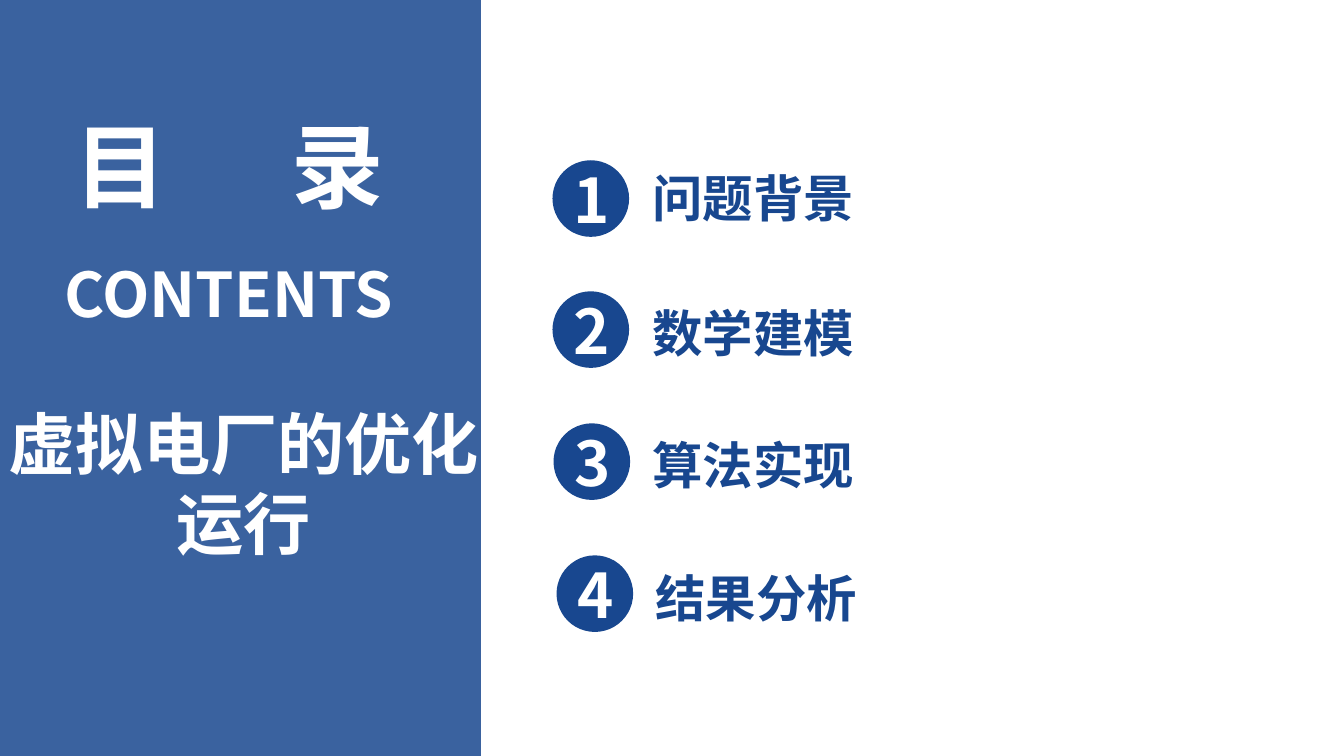
"""Build the contents slide: a blue title panel beside four numbered topics."""
from dataclasses import dataclass

from lxml import etree
from pptx import Presentation
from pptx.dml.color import RGBColor
from pptx.enum.shapes import MSO_SHAPE
from pptx.enum.text import MSO_ANCHOR, MSO_AUTO_SIZE, PP_ALIGN
from pptx.oxml.ns import qn
from pptx.util import Inches, Pt

RECT, OVAL = MSO_SHAPE.RECTANGLE, MSO_SHAPE.OVAL
LEFT, CENTER = PP_ALIGN.LEFT, PP_ALIGN.CENTER
MIDDLE, GROW = MSO_ANCHOR.MIDDLE, MSO_AUTO_SIZE.SHAPE_TO_FIT_TEXT
FONT, BLUE, WHITE = "Noto Sans CJK SC", "18478F", "FFFFFF"
DISC = 0.76


@dataclass(frozen=True)
class Topic:
    text: str
    disc_x: float
    disc_y: float
    label_x: float
    label_y: float


TOPICS = [
    Topic("问题背景", 5.48, 1.59, 6.37, 1.61),
    Topic("数学建模", 5.48, 2.89, 6.37, 2.95),
    Topic("算法实现", 5.49, 4.2, 6.37, 4.26),
    Topic("结果分析", 5.52, 5.51, 6.4, 5.58),
]


def rgb(color: str) -> RGBColor:
    return RGBColor.from_string(color)


def add_run(p, text: str, size: float, color: str = WHITE, gap: float = 0) -> None:
    r = p.add_run()
    r.text = text
    for name, value in {"size": Pt(size), "bold": True, "name": FONT}.items():
        setattr(r.font, name, value)
    r.font.color.rgb = rgb(color)
    rpr = r._r.get_or_add_rPr()
    etree.SubElement(rpr, qn("a:ea")).set("typeface", FONT)
    if gap:
        rpr.set("spc", str(round(gap * 100)))


def add_box(slide, x: float, y: float, w: float, h: float, wrap: bool, align):
    tf = slide.shapes.add_textbox(Inches(x), Inches(y), Inches(w), Inches(h)).text_frame
    for name, value in {"word_wrap": wrap, "auto_size": GROW}.items():
        setattr(tf, name, value)
    tf.paragraphs[0].alignment = align
    return tf


def add_solid(slide, kind, x: float, y: float, w: float, h: float):
    sp = slide.shapes.add_shape(kind, Inches(x), Inches(y), Inches(w), Inches(h))
    sp.shadow.inherit = False
    sp.fill.solid()
    sp.fill.fore_color.rgb = rgb(BLUE)
    sp.line.fill.background()
    return sp


def add_panel(slide) -> None:
    sp = add_solid(slide, RECT, 0, 0, 4.77, 7.5)
    fill = sp._element.spPr.find(qn("a:solidFill"))
    etree.SubElement(fill[0], qn("a:alpha")).set("val", "85000")

    subject = add_box(slide, -0.15, 3.94, 5.14, 2.52, True, CENTER)
    add_run(subject.paragraphs[0], "虚拟电厂的优化运行", 48)

    heading = add_box(slide, 0.42, 1.03, 3.7, 2.26, False, CENTER)
    add_run(heading.paragraphs[0], "目", 66, gap=89)
    add_run(heading.paragraphs[0], "录", 66)
    p = heading.add_paragraph()
    p.alignment = CENTER
    p.space_before = Pt(26)
    add_run(p, "CONTENTS", 44)


def add_topic(slide, number: int, topic: Topic) -> None:
    tf = add_solid(slide, OVAL, topic.disc_x, topic.disc_y, DISC, DISC).text_frame
    tf.vertical_anchor = MIDDLE
    tf.paragraphs[0].alignment = CENTER
    add_run(tf.paragraphs[0], str(number), 44)
    label = add_box(slide, topic.label_x, topic.label_y, 2.22, 0.71, False, LEFT)
    add_run(label.paragraphs[0], topic.text, 36, BLUE)


def main() -> None:
    prs = Presentation()
    prs.slide_width, prs.slide_height = Inches(13.33), Inches(7.5)
    slide = prs.slides.add_slide(prs.slide_layouts[6])
    add_panel(slide)
    for number, topic in enumerate(TOPICS, 1):
        add_topic(slide, number, topic)
    prs.save("out.pptx")


if __name__ == "__main__":
    main()
